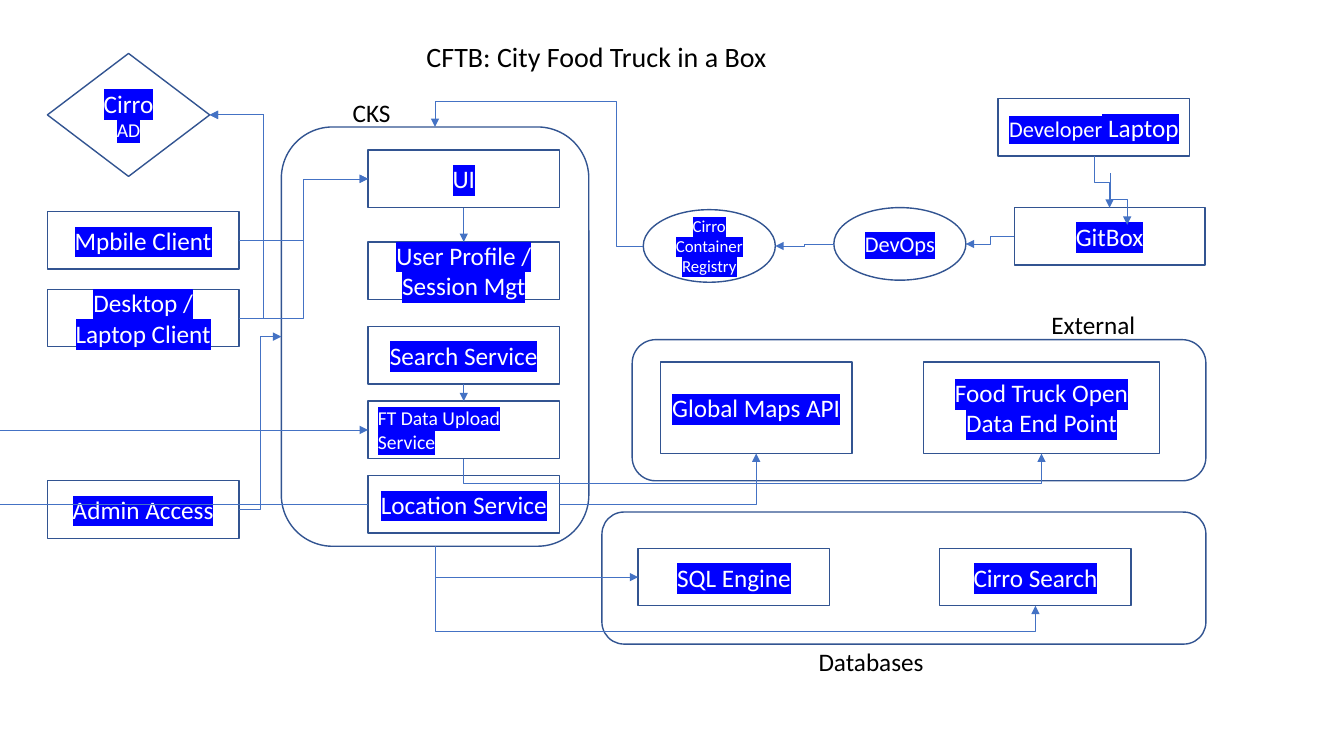
"""Build the City Food Truck in a Box architecture slide."""
from lxml import etree
from pptx import Presentation
from pptx.dml.color import RGBColor
from pptx.enum.shapes import MSO_CONNECTOR, MSO_SHAPE
from pptx.enum.text import MSO_ANCHOR, PP_ALIGN
from pptx.oxml.ns import qn
from pptx.util import Inches, Pt

RECTANGLE, ROUNDED = MSO_SHAPE.RECTANGLE, MSO_SHAPE.ROUNDED_RECTANGLE
OVAL, DIAMOND = MSO_SHAPE.OVAL, MSO_SHAPE.DIAMOND
ELBOW, STRAIGHT = MSO_CONNECTOR.ELBOW, MSO_CONNECTOR.STRAIGHT
LEFT, CENTER = PP_ALIGN.LEFT, PP_ALIGN.CENTER
TOP, MIDDLE = MSO_ANCHOR.TOP, MSO_ANCHOR.MIDDLE
OUTLINE = RGBColor(0x32, 0x54, 0x91)
ARROW = RGBColor(0x44, 0x72, 0xC4)
HIGHLIGHT = RGBColor(0x00, 0x00, 0xFF)
WHITE = RGBColor(0xFF, 0xFF, 0xFF)
BLACK = RGBColor(0x00, 0x00, 0x00)
FONT = "Calibri"
NODE_WIDTH, NODE_HEIGHT = 1.9, 0.57
OVAL_WIDTH, OVAL_HEIGHT = 1.31, 0.72
SIDES = ("top", "left", "bottom", "right")


def add_run(paragraph, text, size, color, highlighted=False):
    """Append one formatted run."""
    run = paragraph.add_run()
    run.text = text
    run.font.size = Pt(size)
    run.font.name = FONT
    run.font.color.rgb = color
    if highlighted:
        highlight = etree.Element(qn("a:highlight"))
        etree.SubElement(highlight, qn("a:srgbClr"), val=str(HIGHLIGHT))
        run.font.fill  
        run.font.color
        run._r.rPr.find(qn("a:solidFill")).addnext(highlight)


def add_node(slide, left, top, runs=(), width=NODE_WIDTH, height=NODE_HEIGHT,
             kind=RECTANGLE, alignment=CENTER):
    """Draw an outlined shape with highlighted (text, size) runs."""
    shape = slide.shapes.add_shape(
        kind, Inches(left), Inches(top), Inches(width), Inches(height))
    shape.shadow.inherit = False
    shape.fill.background()
    shape.line.color.rgb = OUTLINE
    shape.line.width = Pt(1)
    shape.text_frame.word_wrap = True
    shape.text_frame.vertical_anchor = MIDDLE
    paragraph = shape.text_frame.paragraphs[0]
    paragraph.alignment = alignment
    for text, size in runs:
        add_run(paragraph, text, size, WHITE, highlighted=True)
    return shape


def add_label(slide, left, top, width, text):
    """Write a plain region name."""
    box = slide.shapes.add_textbox(Inches(left), Inches(top), Inches(width), Inches(0.4))
    box.text_frame.word_wrap = False
    add_run(box.text_frame.paragraphs[0], text, 18, BLACK)


def style_connector(connector, arrowhead=True):
    """Give a connector its colour, width and arrowhead."""
    connector.line.color.rgb = ARROW
    connector.line.width = Pt(0.5)
    properties = connector._element.spPr
    if arrowhead:
        etree.SubElement(properties.find(qn("a:ln")), qn("a:tailEnd"), type="triangle")
    etree.SubElement(properties, qn("a:effectLst"))


def add_elbow(slide, start, end, vertical, preset="bentConnector3", bends=()):
    """Draw an elbow between two points, turning at the given coordinates."""
    (x1, y1), (x2, y2) = start, end
    ends = (x1, y1, x2, y2)
    if vertical:
        middle_x, middle_y = (x1 + x2) / 2, (y1 + y2) / 2
        half_x, half_y = (x2 - x1) / 2, (y2 - y1) / 2
        ends = (middle_x - half_y, middle_y + half_x, middle_x + half_y, middle_y - half_x)
    connector = slide.shapes.add_connector(ELBOW, *(Inches(value) for value in ends))
    properties = connector._element.spPr
    if vertical:
        properties.find(qn("a:xfrm")).set("rot", "5400000")
    geometry = properties.find(qn("a:prstGeom"))
    geometry.set("prst", preset)
    guides = geometry.find(qn("a:avLst"))
    for index, bend in enumerate(bends):
        axis = (index + vertical) % 2
        share = (bend - start[axis]) / (end[axis] - start[axis])
        etree.SubElement(guides, qn("a:gd"), name=f"adj{index + 1}",
                         fmla=f"val {round(share * 100000)}")
    style_connector(connector)
    return connector


def side_point(shape, side):
    """Return the middle of one side of a shape, in inches."""
    left, top, width, height = (
        value / Inches(1) for value in (shape.left, shape.top, shape.width, shape.height))
    across = {"left": 0, "right": 1}.get(side, 0.5)
    down = {"top": 0, "bottom": 1}.get(side, 0.5)
    return left + width * across, top + height * down


def link(slide, source, source_side, target, target_side, bends=()):
    """Join two shapes with a glued elbow arrow."""
    vertical = source_side in ("top", "bottom")
    parallel = vertical == (target_side in ("top", "bottom"))
    preset = "bentConnector3" if parallel else "bentConnector4" if bends else "bentConnector2"
    connector = add_elbow(slide, side_point(source, source_side),
                          side_point(target, target_side), vertical, preset, bends)
    glue = connector._element.nvCxnSpPr.cNvCxnSpPr
    for tag, shape, side in (("a:stCxn", source, source_side), ("a:endCxn", target, target_side)):
        step = 2 if shape.auto_shape_type == OVAL else 1
        etree.SubElement(glue, qn(tag), id=str(shape.shape_id),
                         idx=str(SIDES.index(side) * step))


def draw_title(slide, left, top):
    """Place the slide title."""
    title = slide.shapes.title
    title.left, title.top = Inches(left), Inches(top)
    title.width, title.height = Inches(3.6), Inches(0.44)
    title.text_frame.word_wrap = False
    title.text_frame.vertical_anchor = TOP
    paragraph = title.text_frame.paragraphs[0]
    paragraph.alignment = LEFT
    add_run(paragraph, "CFTB: City Food Truck in a Box", 20, BLACK)


def draw_clients(slide, left, top):
    """Draw the directory and the three clients."""
    directory = add_node(slide, left, top, [("Cirro ", 18), ("AD", 14)], 1.61, 1.22, DIAMOND)
    clients = [add_node(slide, left, top + offset, [(text, 18)]) for text, offset in (
        ("Mpbile Client", 1.57), ("Desktop / Laptop Client", 2.34), ("Admin Access", 4.24))]
    return directory, *clients


def draw_cluster(slide, left, top):
    """Draw the container cluster and its services."""
    cluster = add_node(slide, left, top, width=3.05, height=4.16, kind=ROUNDED)
    add_label(slide, left + 0.61, top - 0.34, 0.59, "CKS")
    services = [add_node(slide, left + 0.86, top + offset, [(text, size)], alignment=alignment)
                for text, offset, size, alignment in (
                    ("UI", 0.23, 18, CENTER),
                    ("User Profile / Session Mgt", 1.14, 18, CENTER),
                    ("Search Service", 1.98, 18, CENTER),
                    ("FT Data Upload Service", 2.72, 14, LEFT),
                    ("Location Service", 3.46, 18, CENTER))]
    return cluster, *services


def draw_pipeline(slide, left, top):
    """Draw the delivery chain from laptop to registry."""
    laptop = add_node(slide, left + 3.52, top, [("Developer", 16), (" Laptop", 18)])
    repository = add_node(slide, left + 3.68, top + 1.08, [("GitBox", 18)], 1.89)
    devops = add_node(slide, left + 1.89, top + 1.08, [("DevOps", 16)],
                      OVAL_WIDTH, OVAL_HEIGHT, OVAL)
    registry = add_node(slide, left, top + 1.1, [("Cirro Container Registry", 12)],
                        OVAL_WIDTH, OVAL_HEIGHT, OVAL)
    link(slide, laptop, "bottom", repository, "top")
    add_elbow(slide, (11.01, 1.72), (11.18, 2.23), True)
    link(slide, repository, "left", devops, "right")
    link(slide, devops, "left", registry, "right")
    return registry


def draw_external(slide, left, top):
    """Draw the external data sources."""
    add_node(slide, left, top, width=5.69, height=1.4, kind=ROUNDED)
    add_label(slide, left + 4.06, top - 0.35, 1.04, "External")
    maps = add_node(slide, left + 0.28, top + 0.22, [("Global Maps API", 18)], height=0.91)
    trucks = add_node(slide, left + 2.89, top + 0.22,
                      [("Food Truck Open Data End Point", 18)], 2.34, 0.91)
    return maps, trucks


def draw_databases(slide, left, top):
    """Draw the data stores."""
    add_node(slide, left, top, width=5.99, height=1.31, kind=ROUNDED)
    add_label(slide, left + 2.05, top + 1.28, 1.26, "Databases")
    return [add_node(slide, left + offset, top + 0.36, [(text, 18)])
            for text, offset in (("SQL Engine", 0.36), ("Cirro Search", 3.35))]


def draw_edge_loop(slide, service, upload):
    """Run the location feed along the left edge to the upload service."""
    for shape, arrowhead in ((service, False), (upload, True)):
        x, y = side_point(shape, "left")
        connector = slide.shapes.add_connector(STRAIGHT, 0, Inches(y), Inches(x), Inches(y))
        style_connector(connector, arrowhead)


def build_slide(presentation):
    """Assemble the regions and the arrows between them."""
    slide = presentation.slides.add_slide(presentation.slide_layouts[5])
    draw_title(slide, 4.13, 0.34)
    directory, mobile, desktop, admin = draw_clients(slide, 0.47, 0.53)
    cluster, ui, profile, search, upload, location = draw_cluster(slide, 2.79, 1.26)
    registry = draw_pipeline(slide, 6.38, 0.98)
    maps, trucks = draw_external(slide, 6.27, 3.37)
    sql, index = draw_databases(slide, 5.97, 5.08)
    link(slide, registry, "left", cluster, "top", (6.11, 1.01))
    link(slide, cluster, "bottom", sql, "left")
    link(slide, cluster, "bottom", index, "bottom", (6.26,))
    link(slide, admin, "right", cluster, "left")
    for client in (desktop, mobile):
        link(slide, client, "right", ui, "left")
        link(slide, client, "right", directory, "right", (2.61,))
    link(slide, location, "right", maps, "bottom")
    link(slide, upload, "bottom", trucks, "bottom", (4.8,))
    link(slide, ui, "bottom", profile, "top")
    link(slide, search, "bottom", upload, "top")
    draw_edge_loop(slide, location, upload)


presentation = Presentation()
presentation.slide_width, presentation.slide_height = Inches(13.33), Inches(7.5)
build_slide(presentation)
presentation.save("out.pptx")
